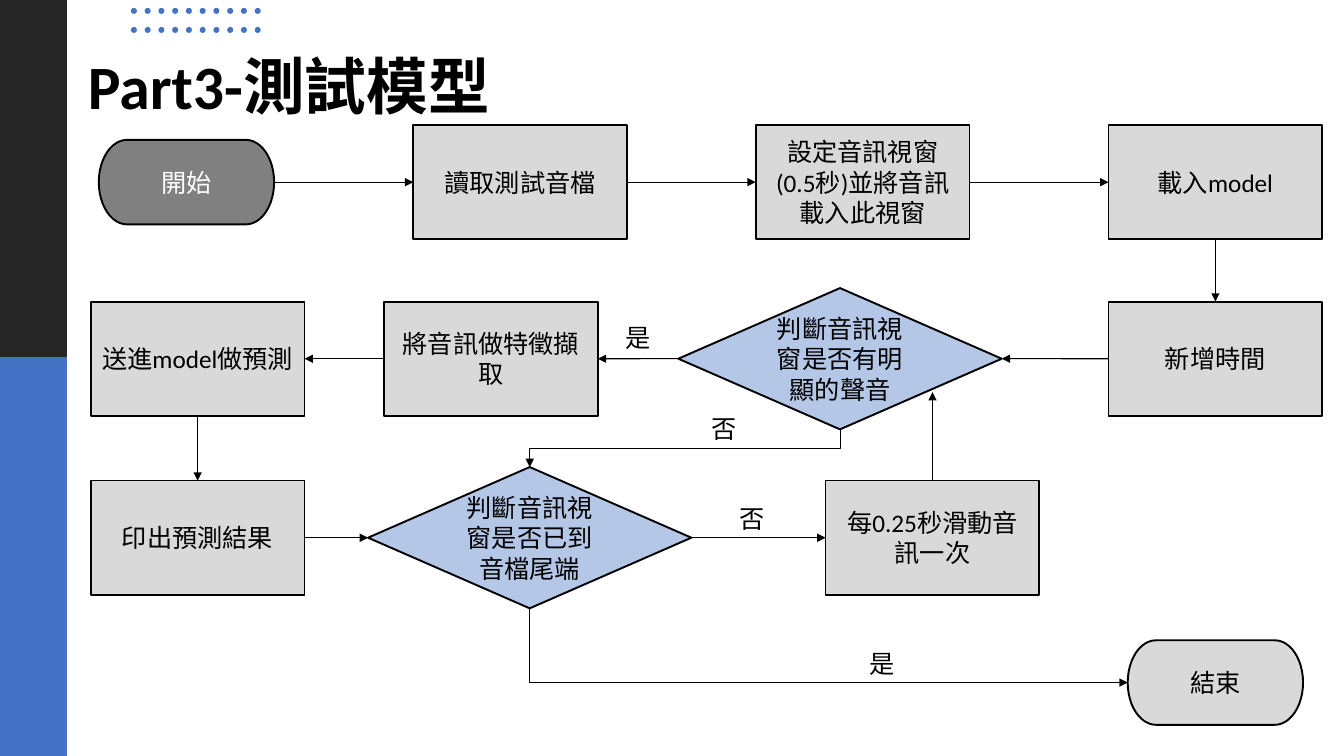
from lxml import etree
from pptx import Presentation
from pptx.dml.color import RGBColor
from pptx.enum.shapes import MSO_CONNECTOR, MSO_SHAPE
from pptx.enum.text import MSO_ANCHOR, MSO_AUTO_SIZE, PP_ALIGN
from pptx.oxml.ns import qn
from pptx.util import Cm, Pt

RECTANGLE = MSO_SHAPE.RECTANGLE
OVAL = MSO_SHAPE.OVAL
TERMINATOR = MSO_SHAPE.FLOWCHART_TERMINATOR
DECISION = MSO_SHAPE.FLOWCHART_DECISION
STRAIGHT = MSO_CONNECTOR.STRAIGHT
ELBOW = MSO_CONNECTOR.ELBOW
TOP, LEFT, BOTTOM, RIGHT = range(4)

BLACK = RGBColor(0x00, 0x00, 0x00)
WHITE = RGBColor(0xFF, 0xFF, 0xFF)
CHARCOAL = RGBColor(0x26, 0x26, 0x26)
DARK_GREY = RGBColor(0x80, 0x80, 0x80)
LIGHT_GREY = RGBColor(0xD9, 0xD9, 0xD9)
BLUE = RGBColor(0x44, 0x72, 0xC4)
PALE_BLUE = RGBColor(0xB4, 0xC7, 0xE7)

FONT = "Calibri"
SIZES = {RECTANGLE: (5.39, 2.88), TERMINATOR: (4.42, 2.13), DECISION: (8.15, 3.56)}
ROW_1, ROW_2, ROW_3, ROW_4 = 1.44, 5.89, 10.4, 14.05

NODES = {
    "start": (TERMINATOR, 2.41, ROW_1, "開始", DARK_GREY, WHITE),
    "read": (RECTANGLE, 10.82, ROW_1, "讀取測試音檔", LIGHT_GREY, BLACK),
    "window": (RECTANGLE, 19.45, ROW_1, "設定音訊視窗\n(0.5秒)並將音訊載入此視窗", LIGHT_GREY, BLACK),
    "load": (RECTANGLE, 28.34, ROW_1, "載入model", LIGHT_GREY, BLACK),
    "time": (RECTANGLE, 28.34, ROW_2, "新增時間", LIGHT_GREY, BLACK),
    "sound": (DECISION, 18.88, ROW_2, "判斷音訊視窗是否有明顯的聲音", PALE_BLUE, BLACK),
    "features": (RECTANGLE, 10.08, ROW_2, "將音訊做特徵擷取", LIGHT_GREY, BLACK),
    "predict": (RECTANGLE, 2.69, ROW_2, "送進model做預測", LIGHT_GREY, BLACK),
    "print": (RECTANGLE, 2.69, ROW_3, "印出預測結果", LIGHT_GREY, BLACK),
    "tail": (DECISION, 11.06, ROW_3, "判斷音訊視窗是否已到音檔尾端", PALE_BLUE, BLACK),
    "slide": (RECTANGLE, 21.21, ROW_3, "每0.25秒滑動音訊一次", LIGHT_GREY, BLACK),
    "end": (TERMINATOR, 28.34, ROW_4, "結束", LIGHT_GREY, BLACK),
}
ARROWS = [
    ("start", RIGHT, "read", LEFT),
    ("read", RIGHT, "window", LEFT),
    ("window", RIGHT, "load", LEFT),
    ("load", BOTTOM, "time", TOP),
    ("time", LEFT, "sound", RIGHT),
    ("sound", LEFT, "features", RIGHT),
    ("features", LEFT, "predict", RIGHT),
    ("predict", BOTTOM, "print", TOP),
    ("print", RIGHT, "tail", LEFT),
    ("tail", RIGHT, "slide", LEFT),
]
ELBOWS = [
    ("sound", BOTTOM, "tail", TOP, "bentConnector3", 90, False),
    ("tail", BOTTOM, "end", LEFT, "bentConnector2", 270, True),
]
LABELS = [("是", 13.8, 5.36), ("否", 15.96, 7.65), ("否", 16.67, 9.93), ("是", 19.95, 13.56)]


def format_text(frame, size, color, align, bold=False):
    for para in frame.paragraphs:
        para.alignment = align
        for span in para.runs:
            span.font.name = FONT
            span.font.size = Pt(size)
            span.font.bold = bold
            span.font.color.rgb = color


def add_plain_shape(shapes, kind, left, top, width, height, color):
    shape = shapes.add_shape(kind, Cm(left), Cm(top), Cm(width), Cm(height))
    shape.shadow.inherit = False
    shape.fill.solid()
    shape.fill.fore_color.rgb = color
    shape.line.fill.background()
    return shape


def add_title(page, box):
    title = page.shapes.title
    title.left, title.top, title.width, title.height = map(Cm, box)
    frame = title.text_frame
    frame.text = "Part3-測試模型"
    frame.auto_size = MSO_AUTO_SIZE.NONE
    frame.vertical_anchor = MSO_ANCHOR.BOTTOM
    format_text(frame, 44, BLACK, PP_ALIGN.LEFT, bold=True)
    para = frame.paragraphs[0]
    para.line_spacing = 0.9
    para.space_after = Pt(6)
    outline = etree.Element(qn("a:ln"), w=str(Pt(0.75)))
    fill = etree.SubElement(outline, qn("a:solidFill"))
    etree.SubElement(fill, qn("a:srgbClr"), val=str(BLACK))
    para.runs[0].font._element.insert(0, outline)


def add_sidebar(page, box):
    left, top, width, height = box
    split = 9
    add_plain_shape(page.shapes, RECTANGLE, left, top, width, split, CHARCOAL)
    add_plain_shape(page.shapes, RECTANGLE, left, top + split, width, height - split, BLUE)


def add_dots(page, box, columns=10, rows=2, dot=0.15):
    left, top, width, height = box
    group = page.shapes.add_group_shape()
    for column in range(columns):
        for row in range(rows):
            across = left + column * (width - dot) / (columns - 1)
            down = top + row * (height - dot) / (rows - 1)
            add_plain_shape(group.shapes, OVAL, across, down, dot, dot, BLUE)


def add_node(page, origin, kind, x, y, text, color, text_color):
    width, height = SIZES[kind]
    node = add_plain_shape(page.shapes, kind, origin[0] + x - width / 2,
                           origin[1] + y - height / 2, width, height, color)
    node.line.color.rgb = BLACK
    node.line.width = Pt(1.35)
    frame = node.text_frame
    frame.text = text
    frame.word_wrap = True
    frame.vertical_anchor = MSO_ANCHOR.MIDDLE
    format_text(frame, 18, text_color, PP_ALIGN.CENTER)
    return node


def add_arrow(page, kind, source, source_side, target=None, target_side=None, end=(0, 0)):
    arrow = page.shapes.add_connector(kind, 0, 0, *end)
    arrow.begin_connect(source, source_side)
    if target is not None:
        arrow.end_connect(target, target_side)
    arrow.line.color.rgb = BLACK
    arrow.line.width = Pt(0.75)
    etree.SubElement(arrow.line._get_or_add_ln(), qn("a:tailEnd"), type="triangle")
    etree.SubElement(arrow._element.spPr, qn("a:effectLst"))
    return arrow


def turn_elbow(arrow, preset, angle, flipped):
    left, top, width, height = arrow.left, arrow.top, arrow.width, arrow.height
    arrow.left = left + (width - height) // 2
    arrow.top = top + (height - width) // 2
    arrow.width, arrow.height = height, width
    properties = arrow._element.spPr
    frame = properties.find(qn("a:xfrm"))
    frame.set("rot", str(angle * 60000))
    frame.set("flipH", str(int(flipped)))
    frame.set("flipV", "0")
    properties.find(qn("a:prstGeom")).set("prst", preset)


def add_label(page, origin, text, x, y, width=1.14, height=1.02):
    label = page.shapes.add_textbox(Cm(origin[0] + x - width / 2),
                                    Cm(origin[1] + y - height / 2), Cm(width), Cm(height))
    frame = label.text_frame
    frame.text = text
    frame.word_wrap = False
    frame.auto_size = MSO_AUTO_SIZE.SHAPE_TO_FIT_TEXT
    format_text(frame, 18, BLACK, PP_ALIGN.LEFT)


def add_flow(page, box):
    origin = box[:2]
    nodes = {name: add_node(page, origin, *node) for name, node in NODES.items()}
    for source, source_side, target, target_side in ARROWS:
        add_arrow(page, STRAIGHT, nodes[source], source_side, nodes[target], target_side)
    for source, source_side, target, target_side, preset, angle, flipped in ELBOWS:
        arrow = add_arrow(page, ELBOW, nodes[source], source_side, nodes[target], target_side)
        turn_elbow(arrow, preset, angle, flipped)
    return_point = (Cm(origin[0] + 21.21), Cm(origin[1] + 6.73))
    add_arrow(page, STRAIGHT, nodes["slide"], TOP, end=return_point)
    for label in LABELS:
        add_label(page, origin, *label)


deck = Presentation()
deck.slide_width, deck.slide_height = Cm(33.87), Cm(19.05)
page = deck.slides.add_slide(deck.slide_layouts[5])
add_title(page, (1.96, 0.2, 29.21, 3.02))
add_sidebar(page, (0, 0, 1.69, 19.05))
add_dots(page, (3.3, 0.2, 3.27, 0.63))
add_flow(page, (2.29, 3.15, 31.04, 15.11))
deck.save("out.pptx")
